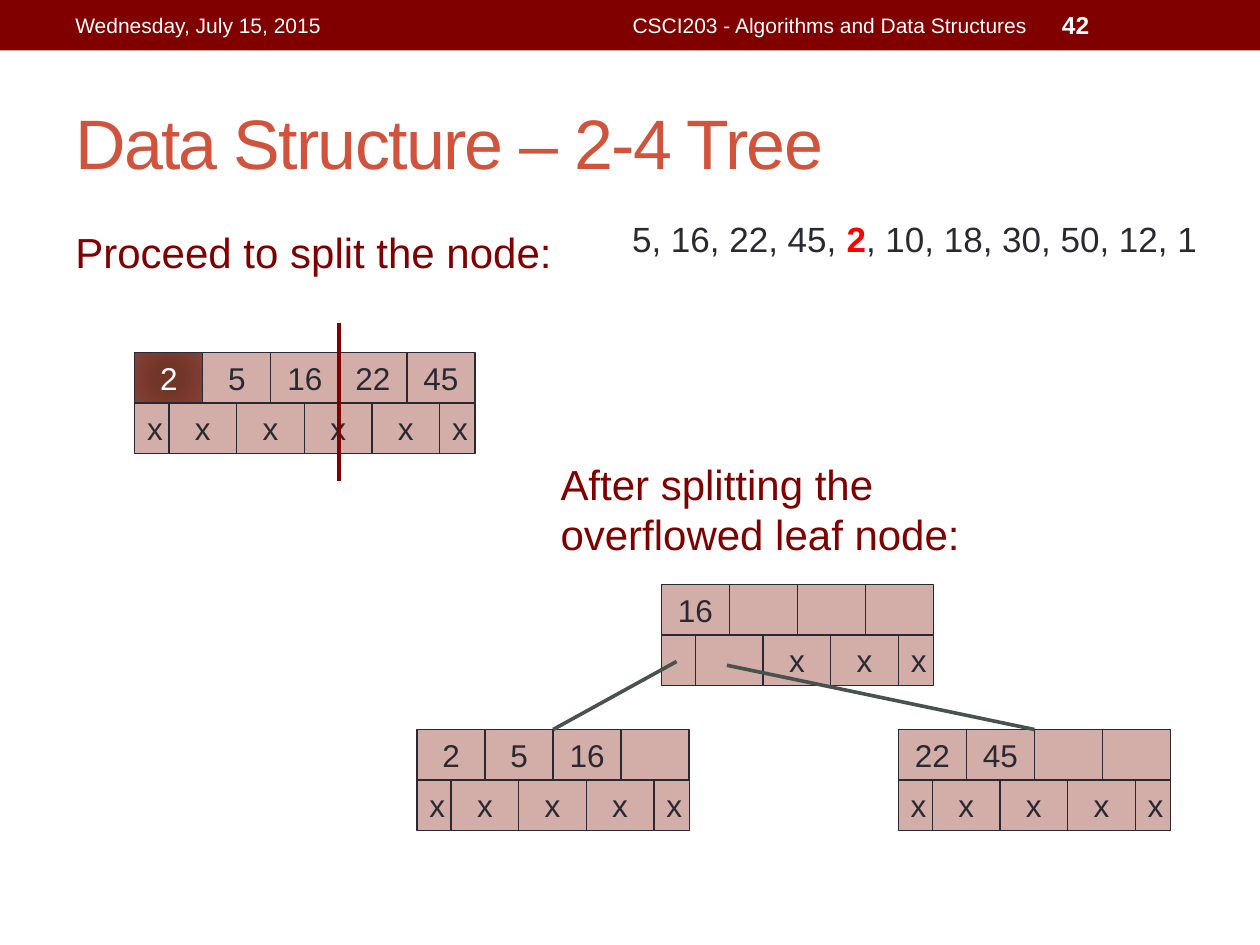
from lxml import etree
from pptx import Presentation
from pptx.dml.color import RGBColor
from pptx.enum.shapes import MSO_CONNECTOR, MSO_SHAPE
from pptx.enum.text import MSO_ANCHOR as Anchor, PP_ALIGN as Align
from pptx.oxml import parse_xml
from pptx.oxml.ns import nsdecls, qn
from pptx.util import Inches, Pt

MAROON = RGBColor(0x80, 0x00, 0x00)
ORANGE = RGBColor(0xD2, 0x53, 0x3C)
WHITE = RGBColor(0xFF, 0xFF, 0xFF)
INK = RGBColor(0x29, 0x29, 0x34)
CELL = RGBColor(0xD3, 0xAE, 0xA8)
RED = RGBColor(0xFF, 0x00, 0x00)
EDGE = RGBColor(0x47, 0x53, 0x4C)
HIGHLIGHT_STOPS = [(0, "743327"), (34, "72352A"), (70, "7F3B2F"), (100, "79463D")]

KEY_WIDTH, ROW_HEIGHT = 0.54, 0.4
FIRST_POINTER, LAST_POINTER = 0.27, 0.28


def write_text(shape, runs, size=18, color=INK, bold=False, align=Align.LEFT,
               anchor=Anchor.MIDDLE, spacing=None):
    """Fill a shape with one paragraph; runs is a string or (text, color, bold) tuples."""
    if isinstance(runs, str):
        runs = [(runs, color, bold)]
    frame = shape.text_frame
    frame.word_wrap = True
    frame.vertical_anchor = anchor
    paragraph = frame.paragraphs[0]
    paragraph.alignment = align
    for text, run_color, run_bold in runs:
        run = paragraph.add_run()
        run.text = text
        run.font.name = "Arial"
        run.font.size = Pt(size)
        run.font.bold = run_bold
        run.font.color.rgb = run_color
        if spacing is not None:
            run.font._element.set("spc", str(spacing * 100))


def add_text(slide, box, runs, **text_format):
    write_text(slide.shapes.add_textbox(*map(Inches, box)), runs, **text_format)


def add_rectangle(slide, box, fill):
    shape = slide.shapes.add_shape(MSO_SHAPE.RECTANGLE, *map(Inches, box))
    shape.shadow.inherit = False
    shape.fill.solid()
    shape.fill.fore_color.rgb = fill
    shape.line.fill.background()
    return shape


def add_line(slide, start, end, color):
    line = slide.shapes.add_connector(
        MSO_CONNECTOR.STRAIGHT, *map(Inches, (*start, *end)))
    line.line.color.rgb = color
    line.line.width = Pt(2.08)
    etree.SubElement(line._element.spPr, qn("a:effectLst"))


def set_radial_fill(shape, stops):
    stop_xml = "".join(
        f'<a:gs pos="{position * 1000}"><a:srgbClr val="{color}"/></a:gs>'
        for position, color in stops)
    gradient = parse_xml(
        f'<a:gradFill {nsdecls("a")} rotWithShape="1"><a:gsLst>{stop_xml}</a:gsLst>'
        '<a:path path="circle"><a:fillToRect l="100000" t="100000" r="100000" '
        'b="100000"/></a:path></a:gradFill>')
    properties = shape._element.spPr
    properties.replace(properties.find(qn("a:solidFill")), gradient)


def add_cell(slide, box, label, highlighted=False):
    cell = add_rectangle(slide, box, CELL)
    cell.line.color.rgb = INK
    cell.line.width = Pt(0.75)
    if highlighted:
        set_radial_fill(cell, HIGHLIGHT_STOPS)
    if label:
        write_text(cell, label, color=WHITE if highlighted else INK, align=Align.CENTER)


def add_node(slide, left, top, keys, pointers, highlighted_key=None):
    """Draw a row of keys above a row of pointers with half-width ends."""
    for index, key in enumerate(keys):
        add_cell(slide, (left + index * KEY_WIDTH, top, KEY_WIDTH, ROW_HEIGHT),
                 key, key == highlighted_key)
    inner_count = len(pointers) - 2
    inner_width = (len(keys) * KEY_WIDTH - FIRST_POINTER - LAST_POINTER) / inner_count
    widths = [FIRST_POINTER] + [inner_width] * inner_count + [LAST_POINTER]
    for label, width in zip(pointers, widths):
        add_cell(slide, (left, top + ROW_HEIGHT, width, ROW_HEIGHT), label)
        left += width


def add_header(slide, left, top, width, height):
    add_rectangle(slide, (left, top, width, height), MAROON)
    text_top, text_height = top + 0.02, height - 0.04
    add_text(slide, (left + 0.5, text_top, 3.17, text_height),
             "Wednesday, July 15, 2015", size=12, color=WHITE)
    add_text(slide, (left + 3.75, text_top, 4.5, text_height),
             "CSCI203 - Algorithms and Data Structures",
             size=12, color=WHITE, align=Align.RIGHT)
    add_text(slide, (left + 8.33, text_top, 1.17, text_height), "42",
             size=14, color=WHITE, bold=True)


def add_overflowed_node(slide, left, top):
    add_text(slide, (left, top, 4.09, 0.5), "Proceed to split the node:",
             size=24, color=MAROON, anchor=Anchor.TOP)
    node_left, node_top = left + 0.57, top + 1.05
    add_node(slide, node_left, node_top, ["2", "5", "16", "22", "45"], ["x"] * 6, "2")
    # Split mark after the third key
    split = node_left + 3 * KEY_WIDTH
    add_line(slide, (split, node_top - 0.24), (split, node_top + 1.02), MAROON)


def add_split_tree(slide, left, top):
    add_text(slide, (left, top, 4.09, 0.91), "After splitting the overflowed leaf node:",
             size=24, color=MAROON, anchor=Anchor.TOP)
    root_left, root_top = left + 0.9, top + 1.05
    child_top = root_top + 1.15
    add_node(slide, root_left, root_top, ["16", "", "", ""], ["", "", "x", "x", "x"])
    children = [
        (left - 1.04, ["2", "5", "16", ""], (0.12, 0.61)),
        (left + 2.78, ["22", "45", "", ""], (0.52, 0.64)),
    ]
    for child_left, keys, _ in children:
        add_node(slide, child_left, child_top, keys, ["x"] * 5)
    # Edges from the root pointers to the top centre of each child
    for child_left, _, (offset_x, offset_y) in children:
        add_line(slide, (root_left + offset_x, root_top + offset_y),
                 (child_left + 2 * KEY_WIDTH, child_top), EDGE)


def main():
    presentation = Presentation()
    presentation.slide_width, presentation.slide_height = Inches(10), Inches(7.5)
    slide = presentation.slides.add_slide(presentation.slide_layouts[6])
    add_header(slide, 0, 0, 10, 0.4)
    add_text(slide, (0.5, 0.58, 9, 1.08), "Data Structure – 2-4 Tree",
             size=40, color=ORANGE, spacing=-1)
    add_overflowed_node(slide, 0.5, 1.75)
    add_split_tree(slide, 4.35, 3.59)
    # Insertion sequence with the current key in red
    add_text(slide, (4.77, 1.67, 4.98, 0.44),
             [("5, 16, 22, 45, ", INK, False), ("2", RED, True),
              (", 10, 18, 30, 50, 12, 1", INK, False)],
             size=20, align=Align.CENTER)
    presentation.save("out.pptx")


if __name__ == "__main__":
    main()
